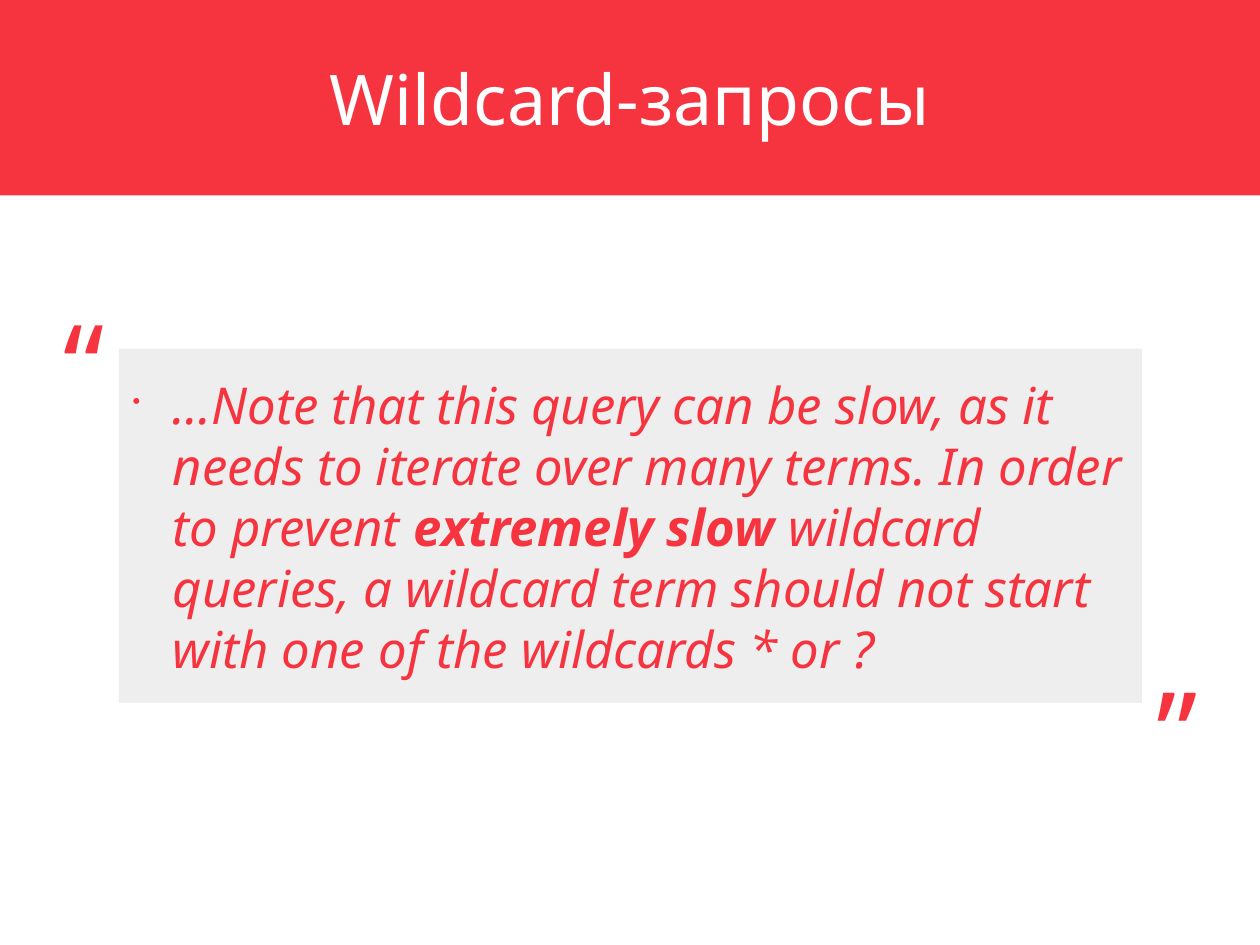
from dataclasses import dataclass

from lxml.etree import SubElement
from pptx import Presentation
from pptx.dml.color import RGBColor
from pptx.enum.shapes import MSO_SHAPE
from pptx.enum.text import MSO_ANCHOR, PP_ALIGN
from pptx.oxml.ns import qn
from pptx.util import Inches, Pt


@dataclass(frozen=True)
class Theme:
    font: str = "Noto Sans"
    red: str = "F6343F"
    white: str = "FFFFFF"
    panel: str = "EEEEEE"
    title_size: int = 44
    quote_size: int = 32
    mark_size: int = 72


THEME = Theme()
CM_PER_INCH = 2.54
PAGE_WIDTH, PAGE_HEIGHT = 28 / CM_PER_INCH, 21 / CM_PER_INCH


def place(shape, left, top, width, height):
    shape.left, shape.top = Inches(left), Inches(top)
    shape.width, shape.height = Inches(width), Inches(height)


def paint(shape, color):
    shape.fill.solid()
    shape.fill.fore_color.rgb = RGBColor.from_string(color)


def center_in_frame(frame):
    """Remove the insets and centre the text vertically."""
    frame.word_wrap = True
    frame.vertical_anchor = MSO_ANCHOR.MIDDLE
    frame.margin_left = frame.margin_right = 0
    frame.margin_top = frame.margin_bottom = 0


def add_span(para, text, size, color=THEME.red, bold=False, italic=False):
    span = para.add_run()
    span.text = text
    font = span.font
    font.name, font.size = THEME.font, Pt(size)
    font.bold, font.italic = bold, italic
    font.color.rgb = RGBColor.from_string(color)


def add_bullet(para, indent, hanging):
    props = para._p.get_or_add_pPr()
    props.set("marL", str(Inches(indent)))
    props.set("indent", str(-Inches(hanging)))
    color = SubElement(props, qn("a:buClr"))
    SubElement(color, qn("a:srgbClr"), val=THEME.red)
    SubElement(props, qn("a:buSzPct"), val="45000")
    SubElement(props, qn("a:buChar"), char="•")


def add_header(page, text, left, top, width, height):
    title = page.shapes.title
    place(title, left, top, width, height)
    paint(title, THEME.red)
    center_in_frame(title.text_frame)
    para = title.text_frame.paragraphs[0]
    para.alignment = PP_ALIGN.CENTER
    add_span(para, text, THEME.title_size, THEME.white)


def add_mark(page, mark, left, top):
    box = page.shapes.add_textbox(Inches(left), Inches(top), Inches(0.7), Inches(1.46))
    box.text_frame.word_wrap = True
    add_span(box.text_frame.paragraphs[0], mark, THEME.mark_size)


def add_quote(page, spans, left, top, width, height):
    """Grey panel with the quotation, framed by marks at opposite corners."""
    panel = page.shapes.add_shape(MSO_SHAPE.RECTANGLE, 0, 0, 0, 0)
    place(panel, left, top, width, height)
    paint(panel, THEME.panel)
    panel.line.fill.background()
    panel.shadow.inherit = False
    center_in_frame(panel.text_frame)
    para = panel.text_frame.paragraphs[0]
    para.alignment = PP_ALIGN.LEFT
    add_bullet(para, indent=0.47, hanging=0.35)
    for text, bold in spans:
        add_span(para, text, THEME.quote_size, bold=bold, italic=True)
    add_mark(page, "„", left + width + 0.01, top + height - 1.02)
    add_mark(page, "“", left - 0.58, top - 0.53)


def main():
    deck = Presentation()
    deck.slide_width, deck.slide_height = Inches(PAGE_WIDTH), Inches(PAGE_HEIGHT)
    page = deck.slides.add_slide(deck.slide_layouts[5])
    paint(page.background, THEME.white)
    add_header(page, "Wildcard-запросы", 0, 0, PAGE_WIDTH, 1.71)
    quote = [
        ("...Note that this query can be slow, as it needs to iterate over many terms. "
         "In order to prevent ", False),
        ("extremely slow", True),
        (" wildcard queries, a wildcard term should not start "
         "with one of the wildcards * or ?", False),
    ]
    add_quote(page, quote, 1.04, 3.05, 8.95, 3.1)
    deck.save("out.pptx")


if __name__ == "__main__":
    main()
